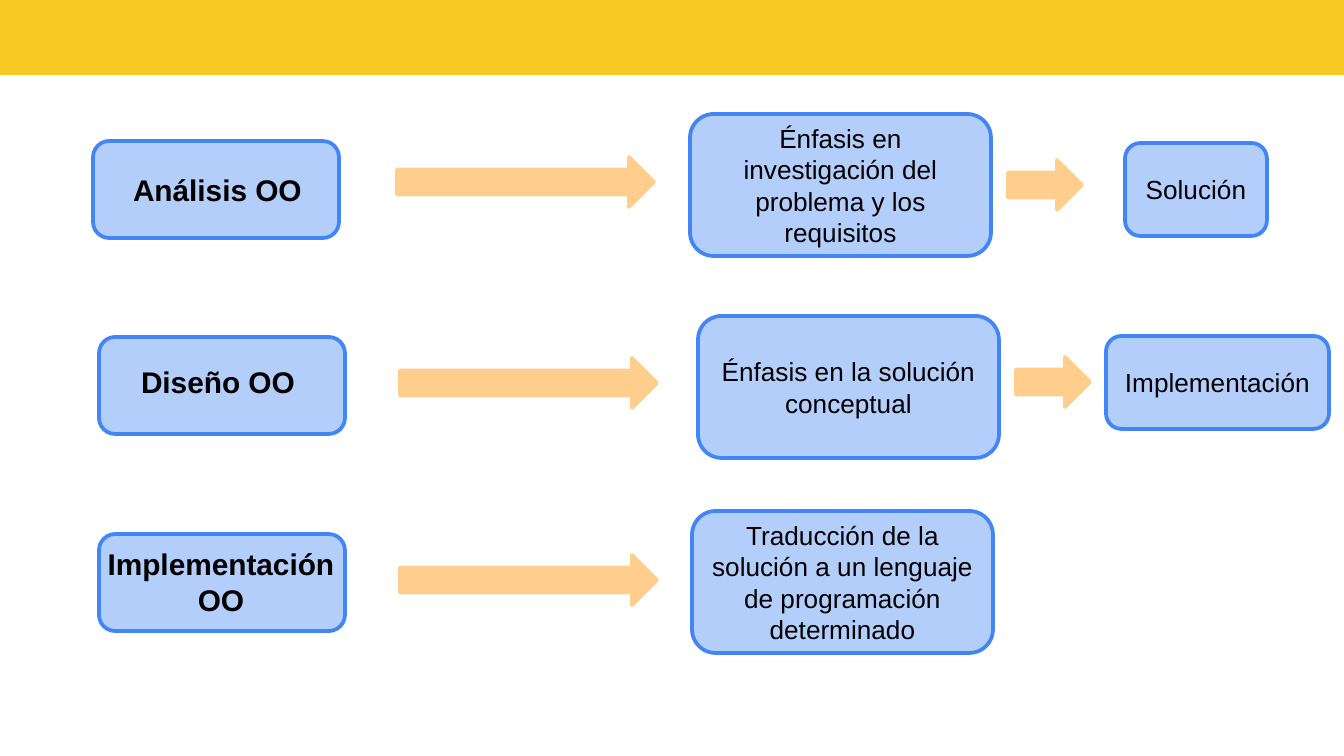
from typing import NamedTuple

from pptx import Presentation
from pptx import util as u
from pptx.dml.color import RGBColor
from pptx.enum import shapes, text

PX = 6804
GOLD = RGBColor(0xF8, 0xC8, 0x23)
PALE = RGBColor(0xB3, 0xCE, 0xFB)
BLUE = RGBColor(0x42, 0x85, 0xF4)
PEACH = RGBColor(0xFF, 0xCD, 0x8C)
BLACK = RGBColor(0, 0, 0)
KIND = shapes.MSO_SHAPE
ALIGN = text.PP_ALIGN


class Area(NamedTuple):
    x: int
    y: int
    w: int
    h: int


class Label(NamedTuple):
    words: str
    area: Area
    align: text.PP_ALIGN


class Box(NamedTuple):
    words: str
    area: Area


STAGES = [Area(x, y, 246, 97) for x, y in [(93, 141), (99, 337), (99, 534)]]
LABELS = [
    Label("Análisis OO", Area(120, 165, 210, 50), ALIGN.LEFT),
    Label("Diseño OO", Area(128, 357, 210, 50), ALIGN.LEFT),
    Label("Implementación OO", Area(78, 539, 286, 86), ALIGN.CENTER),
]
BOXES = [
    Box("Énfasis en investigación del problema y los requisitos", Area(690, 114, 301, 142)),
    Box("Énfasis en la solución conceptual", Area(698, 316, 301, 142)),
    Box("Traducción de la solución a un lenguaje de programación determinado",
        Area(692, 511, 301, 142)),
    Box("Solución", Area(1125, 143, 142, 93)),
    Box("Implementación", Area(1106, 336, 223, 93)),
]
ARROWS = [Area(x, y, w, 50) for x, y, w in [
    (397, 157, 257), (400, 358, 257), (400, 555, 257), (1008, 160, 74), (1016, 357, 74),
]]


def scale(area: Area) -> list[int]:
    return [n * PX for n in area]


def draw(slide, kind: shapes.MSO_SHAPE, area: Area, fill: RGBColor, line: RGBColor | None):
    shape = slide.shapes.add_shape(kind, *scale(area))
    shape.shadow.inherit = False
    shape.fill.solid()
    shape.fill.fore_color.rgb = fill
    if line is None:
        shape.line.fill.background()
    else:
        shape.line.color.rgb = line
        shape.line.width = u.Pt(2)
    return shape


def write(shape, words: str, size: int, bold: bool, align: text.PP_ALIGN,
          anchor: text.MSO_ANCHOR, inset: int) -> None:
    frame = shape.text_frame
    frame.word_wrap = True
    frame.margin_left = frame.margin_right = inset * PX
    frame.vertical_anchor = anchor
    para = frame.paragraphs[0]
    para.alignment = align
    run = para.add_run()
    run.text = words
    run.font.name = "Arial"
    run.font.size = u.Pt(size)
    run.font.bold = bold
    run.font.color.rgb = BLACK


def main() -> None:
    deck = Presentation()
    deck.slide_width, deck.slide_height = 1344 * PX, 756 * PX
    slide = deck.slides.add_slide(deck.slide_layouts[6])

    draw(slide, KIND.RECTANGLE, Area(-1, -7, 1348, 82), GOLD, None)
    for area in STAGES:
        draw(slide, KIND.ROUNDED_RECTANGLE, area, PALE, BLUE)
    for label in LABELS:
        shape = slide.shapes.add_textbox(*scale(label.area))
        write(shape, label.words, 16, True, label.align, text.MSO_ANCHOR.TOP, 13)
    for area in ARROWS:
        draw(slide, KIND.RIGHT_ARROW, area, PEACH, PEACH)
    for box in BOXES:
        shape = draw(slide, KIND.ROUNDED_RECTANGLE, box.area, PALE, BLUE)
        write(shape, box.words, 14, False, ALIGN.CENTER, text.MSO_ANCHOR.MIDDLE, 8)

    deck.save("out.pptx")


if __name__ == "__main__":
    main()
